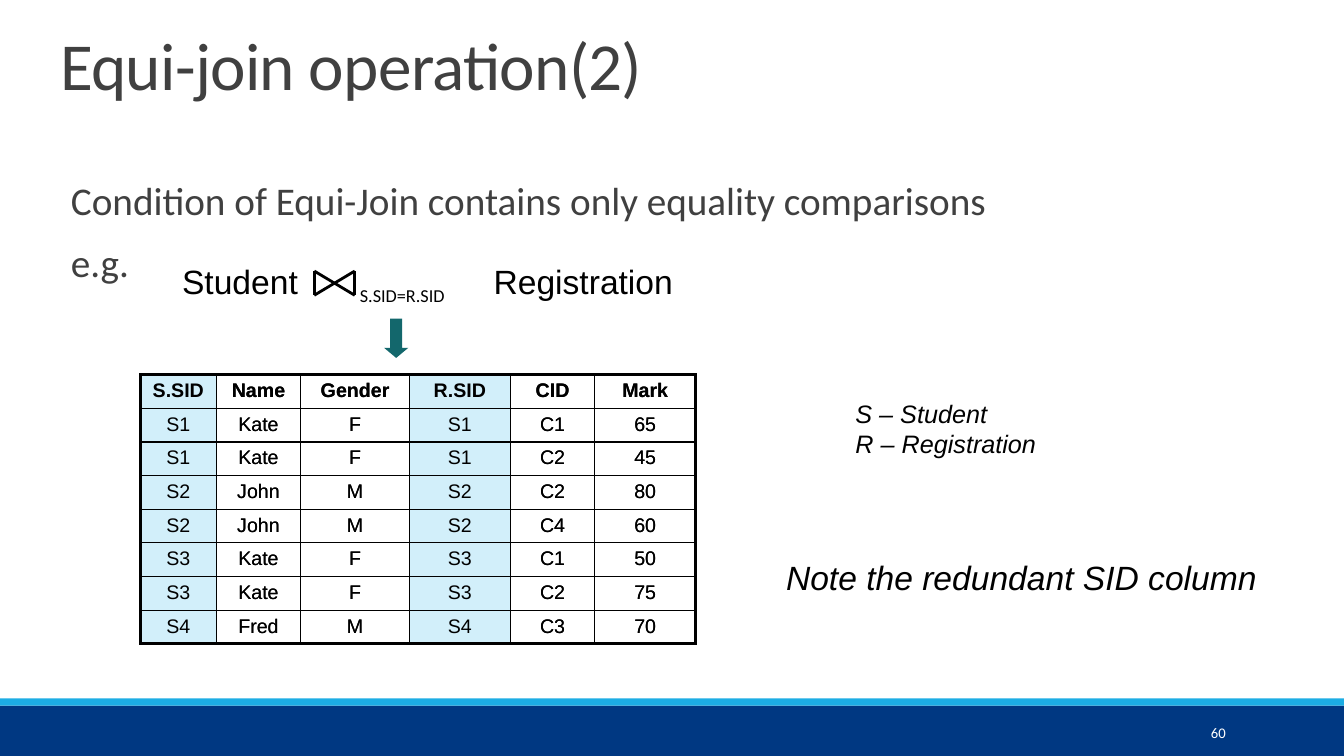
from dataclasses import dataclass

from lxml import etree
from pptx import Presentation
from pptx.dml.color import RGBColor
from pptx.enum.shapes import MSO_CONNECTOR, MSO_SHAPE
from pptx.enum.text import MSO_ANCHOR, PP_ALIGN
from pptx.oxml.ns import qn
from pptx.util import Cm, Pt

LINE = MSO_CONNECTOR.STRAIGHT
RECT, DOWN_ARROW = MSO_SHAPE.RECTANGLE, MSO_SHAPE.DOWN_ARROW
TOP, MIDDLE = MSO_ANCHOR.TOP, MSO_ANCHOR.MIDDLE
LEFT, CENTER, RIGHT = PP_ALIGN.LEFT, PP_ALIGN.CENTER, PP_ALIGN.RIGHT


@dataclass(frozen=True)
class Theme:
    heading_font: str = "Calibri"
    label_font: str = "Arial"
    ink: str = "000000"
    grey: str = "404040"
    white: str = "FFFFFF"
    navy: str = "003882"
    sky: str = "1CADE4"
    teal: str = "13676C"
    key_fill: str = "D2EFFA"
    title: float = 48
    body: float = 28
    label: float = 24
    legend: float = 18
    cell: float = 14
    condition: float = 13
    number: float = 10.5
    thin: float = 1
    symbol: float = 2
    thick: float = 2.25


T = Theme()

COL_WIDTHS = [1.91, 2.13, 2.74, 2.54, 2.13, 2.54]
KEY_COLS = (0, 3)
ROWS = [
    ["S.SID", "Name", "Gender", "R.SID", "CID", "Mark"],
    ["S1", "Kate", "F", "S1", "C1", "65"],
    ["S1", "Kate", "F", "S1", "C2", "45"],
    ["S2", "John", "M", "S2", "C2", "80"],
    ["S2", "John", "M", "S2", "C4", "60"],
    ["S3", "Kate", "F", "S3", "C1", "50"],
    ["S3", "Kate", "F", "S3", "C2", "75"],
    ["S4", "Fred", "M", "S4", "C3", "70"],
]


def add_run(p, text, size, font, color, bold=False, italic=False):
    r = p.add_run()
    r.text = text
    r.font.size, r.font.name = Pt(size), font
    r.font.bold, r.font.italic = bold, italic
    r.font.color.rgb = RGBColor.from_string(color)
    return r


def add_text(s, box, lines, size, font, color, italic=False, align=LEFT, anchor=TOP):
    tf = s.shapes.add_textbox(*map(Cm, box)).text_frame
    tf.word_wrap = True
    tf.vertical_anchor = anchor
    for i, line in enumerate(lines):
        p = tf.add_paragraph() if i else tf.paragraphs[0]
        p.alignment = align
        add_run(p, line, size, font, color, italic=italic)
    return tf


def add_solid(s, kind, box, color):
    sp = s.shapes.add_shape(kind, *map(Cm, box))
    sp.shadow.inherit = False
    sp.fill.solid()
    sp.fill.fore_color.rgb = RGBColor.from_string(color)
    sp.line.fill.background()
    return sp


def add_footer(s, box, number):
    x, y, w, h = box
    stripe = 0.18
    add_solid(s, RECT, (x, y + stripe, w, h - stripe), T.navy)
    add_solid(s, RECT, (x, y, w, stripe), T.sky)
    add_text(s, (x + w - 6.36, y + 0.35, 3.63, 1.02), [number], T.number,
             T.heading_font, T.white, align=RIGHT, anchor=MIDDLE)


def add_title(s, box, text):
    p = add_text(s, box, [text], T.title, T.heading_font, T.grey).paragraphs[0]
    p.line_spacing = 0.85
    p.runs[0].font._element.set("spc", "-50")


def add_body(s, box, lines):
    tf = add_text(s, box, lines, T.body, T.heading_font, T.grey)
    tf.margin_left = Cm(0.52)
    for i, p in enumerate(tf.paragraphs):
        p.line_spacing = 0.9
        p.space_before = Pt(12 if i else 0)
        p.space_after = Pt(2)


def add_join_symbol(s, box):
    x, y, w, h = box
    left, right, bottom = x, x + w, y + h
    # Two upright sides and two diagonals
    for x1, x2 in ((left, left), (right, right), (left, right), (right, left)):
        cn = s.shapes.add_connector(LINE, Cm(x1), Cm(y), Cm(x2), Cm(bottom))
        cn.line.color.rgb = RGBColor.from_string(T.ink)
        cn.line.width = Pt(T.symbol)
        etree.SubElement(cn._element.spPr, qn("a:effectLst"))


def add_expression(s, box):
    x, y, w, h = box
    tf = add_text(s, box, ["Student\tRegistration"], T.label, T.label_font, T.ink)
    # Tab stop that lines up the second relation
    tabs = etree.SubElement(tf.paragraphs[0]._p.get_or_add_pPr(), qn("a:tabLst"))
    etree.SubElement(tabs, qn("a:tab"), pos=str(Cm(7.85)), algn="l")
    add_join_symbol(s, (x + 3.58, y + 0.38, 1.02, 0.61))
    add_text(s, (x + 4.48, y + 0.58, 3.7, 0.86), ["S.SID=R.SID"],
             T.condition, T.heading_font, T.ink)
    # Arrow to the result
    arrow = add_solid(s, DOWN_ARROW, (x + 5.34, y + 1.58, 0.61, 0.99), T.teal)
    arrow.adjustments[0] = 0.5
    arrow.adjustments[1] = 0.415


def set_borders(cell, widths):
    tcPr = cell._tc.get_or_add_tcPr()
    for i, (side, width) in enumerate(widths.items()):
        ln = etree.Element(qn(f"a:ln{side}"), w=str(Pt(width)))
        fill = etree.SubElement(ln, qn("a:solidFill"))
        etree.SubElement(fill, qn("a:srgbClr"), val=T.ink)
        tcPr.insert(i, ln)


def add_result_table(s, box, key_cols):
    n_rows, n_cols = len(ROWS), len(COL_WIDTHS)
    tbl = s.shapes.add_table(n_rows, n_cols, *map(Cm, box)).table
    tbl.first_row = tbl.horz_banding = False
    for col, width in zip(tbl.columns, COL_WIDTHS):
        col.width = Cm(width)
    for row in tbl.rows:
        row.height = Cm(box[3] / n_rows)
    for i, values in enumerate(ROWS):
        for j, value in enumerate(values):
            cell = tbl.cell(i, j)
            p = cell.text_frame.paragraphs[0]
            p.alignment = CENTER
            add_run(p, value, T.cell, T.label_font, T.ink, bold=i == 0)
            if j in key_cols:
                cell.fill.solid()
                cell.fill.fore_color.rgb = RGBColor.from_string(T.key_fill)
            else:
                cell.fill.background()
            # Thick frame, thin inner grid
            outer = {"L": j == 0, "R": j == n_cols - 1, "T": i == 0, "B": i == n_rows - 1}
            set_borders(cell, {k: T.thick if v else T.thin for k, v in outer.items()})


def add_remarks(s, box):
    x, y, w, h = box
    add_text(s, (x + 1.75, y, 7.44, 1.8), ["S – Student", "R – Registration"],
             T.legend, T.label_font, T.ink, italic=True)
    add_text(s, (x, y + h - 1.27, w, 1.27), ["Note the redundant SID column"],
             T.label, T.label_font, T.ink, italic=True)


def main():
    prs = Presentation()
    prs.slide_width, prs.slide_height = Cm(33.87), Cm(19.05)
    s = prs.slides.add_slide(prs.slide_layouts[6])
    add_footer(s, (0, 17.6, 33.87, 1.45), "60")
    add_title(s, (1.27, 0.78, 25.65, 3.18), "Equi-join operation(2)")
    add_body(s, (1.27, 4.45, 30.48, 12.57),
             ["Condition of Equi-Join contains only equality comparisons", "e.g."])
    add_expression(s, (4.34, 6.45, 13.2, 1.27))
    # Plain result, then the same result with its key columns tinted over it
    for key_cols in ((), KEY_COLS):
        add_result_table(s, (3.54, 9.44, sum(COL_WIDTHS), 6.77), key_cols)
    add_remarks(s, (19.56, 9.91, 13.41, 5.27))
    prs.save("out.pptx")


if __name__ == "__main__":
    main()
